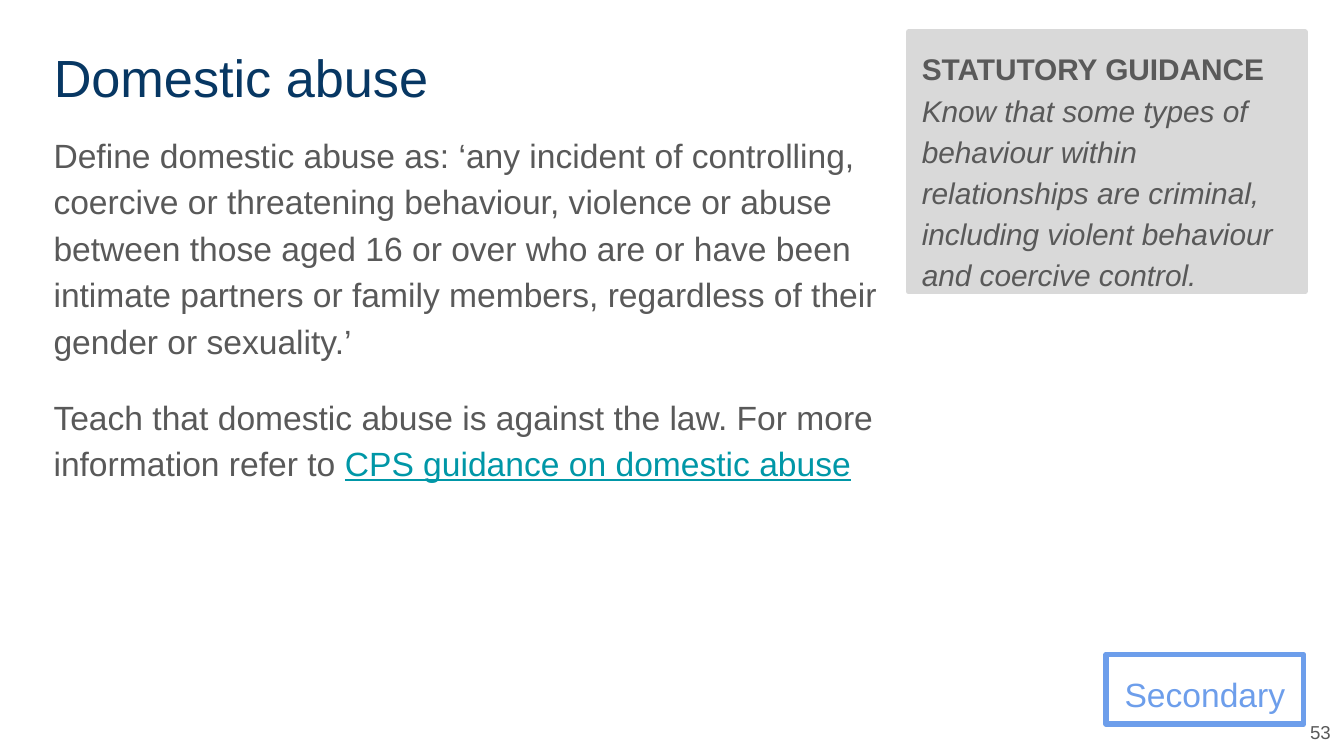
from dataclasses import dataclass

from lxml import etree
from pptx import Presentation
from pptx.dml.color import RGBColor
from pptx.enum import shapes, text
from pptx.oxml.ns import qn
from pptx.util import Pt


@dataclass(frozen=True)
class Theme:
    font: str = "Arial"
    title: str = "073763"
    body: str = "595959"
    link: str = "0097A7"
    phase: str = "6D9EEB"
    panel: str = "D9D9D9"
    title_size: int = 28
    body_size: int = 18
    guidance_size: int = 16
    number_size: int = 10
    line_spacing: float = 1.15
    margin: float = 7.2
    border: int = 3


theme = Theme()


def prepare_frame(shape, anchor=text.MSO_ANCHOR.TOP):
    """Set wrapping, margins and anchor, and return the text frame."""
    frame = shape.text_frame
    frame.word_wrap = True
    frame.auto_size = text.MSO_AUTO_SIZE.NONE
    frame.vertical_anchor = anchor
    frame.margin_left = frame.margin_right = Pt(theme.margin)
    frame.margin_top = frame.margin_bottom = Pt(theme.margin)
    return frame


def format_paragraph(paragraph, size, color, align=text.PP_ALIGN.LEFT, spacing=theme.line_spacing):
    paragraph.alignment = align
    paragraph.line_spacing = spacing
    paragraph.font.name = theme.font
    paragraph.font.size = Pt(size)
    paragraph.font.color.rgb = RGBColor.from_string(color)


presentation = Presentation()
presentation.slide_width, presentation.slide_height = Pt(720), Pt(405)
slide = presentation.slides.add_slide(presentation.slide_layouts[5])

# Title
title = slide.shapes.title
title.left, title.top, title.width, title.height = Pt(21.6), Pt(17.3), Pt(461.5), Pt(45.4)
frame = prepare_frame(title)
frame.text = "Domestic abuse"
format_paragraph(frame.paragraphs[0], theme.title_size, theme.title, spacing=1.0)

# Definition and teaching point
body = slide.shapes.add_textbox(Pt(21.6), Pt(61.9), Pt(461.5), Pt(288.7))
frame = prepare_frame(body)
definition = frame.paragraphs[0]
definition.text = (
    "Define domestic abuse as: ‘any incident of controlling, coercive or threatening "
    "behaviour, violence or abuse between those aged 16 or over who are or have been "
    "intimate partners or family members, regardless of their gender or sexuality.’"
)
teaching = frame.add_paragraph()
teaching.text = (
    "Teach that domestic abuse is against the law. For more information refer to "
)
teaching.space_before = Pt(16)
for paragraph in (definition, teaching):
    format_paragraph(paragraph, theme.body_size, theme.body)
reference = teaching.add_run()
reference.text = "CPS guidance on domestic abuse"
reference.font.underline = True
reference.font.color.rgb = RGBColor.from_string(theme.link)

# Slide number
number = slide.shapes.add_textbox(Pt(691.9), Pt(378.7), Pt(28.1), Pt(26.6))
frame = prepare_frame(number, text.MSO_ANCHOR.MIDDLE)
frame.text = "53"
format_paragraph(
    frame.paragraphs[0], theme.number_size, theme.body, text.PP_ALIGN.RIGHT, spacing=1.0
)

# School phase label and guidance panel
phase = slide.shapes.add_shape(
    shapes.MSO_SHAPE.RECTANGLE, Pt(592.6), Pt(350.6), Pt(105.8), Pt(37.4)
)
guidance = slide.shapes.add_shape(
    shapes.MSO_SHAPE.RECTANGLE, Pt(486.7), Pt(17.3), Pt(212.4), Pt(139)
)
for shape, color in ((phase, theme.phase), (guidance, theme.panel)):
    shape.shadow.inherit = False
    shape.line.color.rgb = RGBColor.from_string(color)
    shape.line.width = Pt(theme.border)
    etree.SubElement(shape.line._get_or_add_ln(), qn("a:round"))
phase.fill.background()
guidance.fill.solid()
guidance.fill.fore_color.rgb = RGBColor.from_string(theme.panel)

frame = prepare_frame(phase)
frame.text = "Secondary"
format_paragraph(frame.paragraphs[0], theme.body_size, theme.phase, text.PP_ALIGN.CENTER)

paragraph = prepare_frame(guidance).paragraphs[0]
format_paragraph(paragraph, theme.guidance_size, theme.body)
heading = paragraph.add_run()
heading.text = "STATUTORY GUIDANCE"
heading.font.bold = True
paragraph.add_line_break()
statement = paragraph.add_run()
statement.text = (
    "Know that some types of behaviour within relationships are criminal, "
    "including violent behaviour and coercive control."
)
statement.font.italic = True

presentation.save("out.pptx")
